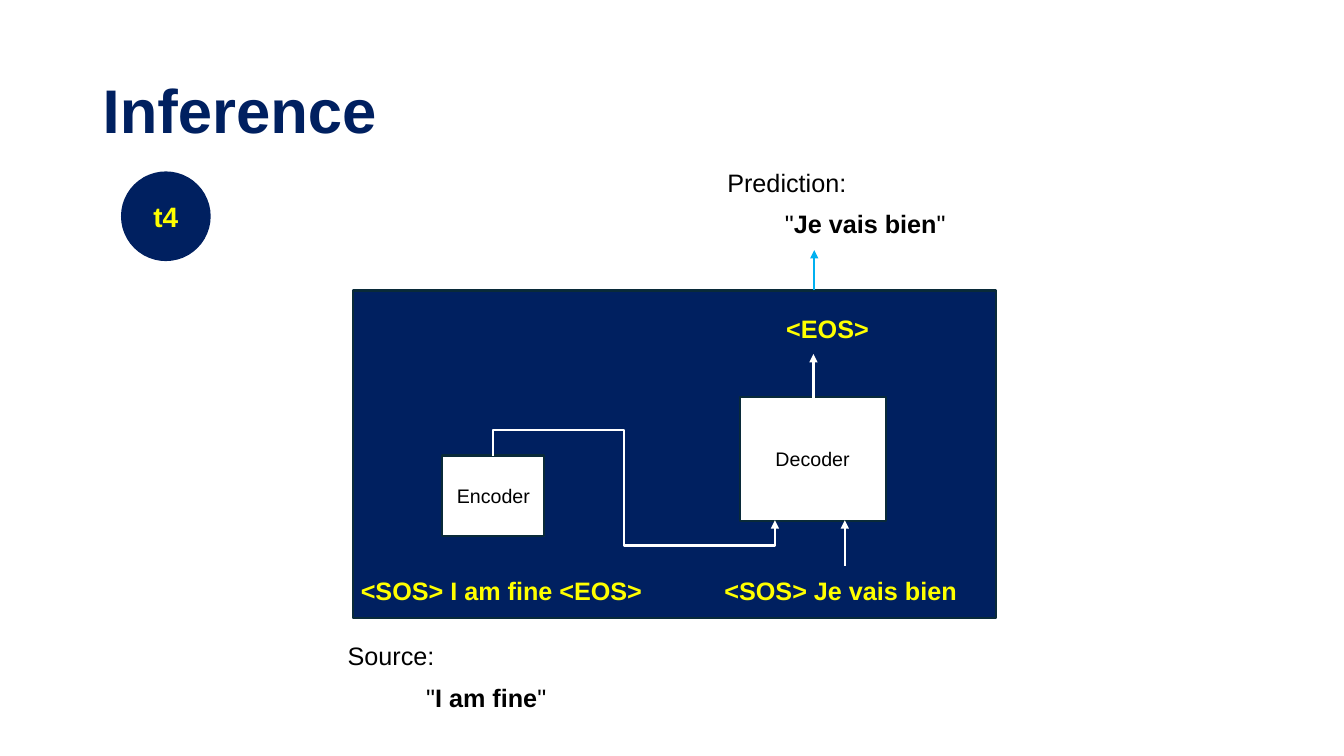
import pptx
import pptx.dml.color
import pptx.enum.shapes
import pptx.enum.text
import pptx.oxml
import pptx.oxml.ns
import pptx.util
from pptx.util import Cm

COLORS = {"navy": "002060", "edge": "092A39", "yellow": "FFFF00",
          "white": "FFFFFF", "black": "000000", "sky": "00B0F0"}
SHAPES = pptx.enum.shapes.MSO_SHAPE
LINES = pptx.enum.shapes.MSO_CONNECTOR
ALIGN = pptx.enum.text.PP_ALIGN
MIDDLE = pptx.enum.text.MSO_ANCHOR.MIDDLE

presentation = pptx.Presentation()
presentation.slide_width = Cm(33.87)
presentation.slide_height = Cm(19.05)
slide = presentation.slides.add_slide(presentation.slide_layouts[6])


def rgb(name):
    return pptx.dml.color.RGBColor.from_string(COLORS[name])


def write(shape, pieces, size, color, align=ALIGN.LEFT):
    """Fill a shape with one paragraph of (text, bold) pieces."""
    shape.text_frame.word_wrap = True
    paragraph = shape.text_frame.paragraphs[0]
    paragraph.alignment = align
    for text, bold in pieces:
        run = paragraph.add_run()
        run.text = text
        run.font.name = "Arial"
        run.font.size = pptx.util.Pt(size)
        run.font.bold = bold
        run.font.color.rgb = rgb(color)
    return paragraph


# Title
title = slide.shapes.add_textbox(Cm(2.34), Cm(1.02), Cm(29.21), Cm(3.68))
title.text_frame.vertical_anchor = MIDDLE
write(title, [("Inference", True)], 44, "navy").line_spacing = 0.9

# Time step, model panel and its two blocks
blocks = [
    (SHAPES.OVAL, 3.05, 4.32, 2.26, 2.26, "navy", None, "t4", 20, "yellow", True),
    (SHAPES.ROUNDED_RECTANGLE, 8.89, 7.32, 16.21, 8.26, "navy", "edge", "", 14, "white", False),
    (SHAPES.RECTANGLE, 11.15, 11.48, 2.57, 2.03, "white", "edge", "Encoder", 14, "black", False),
    (SHAPES.RECTANGLE, 18.64, 10.01, 3.68, 3.12, "white", "edge", "Decoder", 14, "black", False),
]
for kind, left, top, width, height, fill, edge, label, size, color, bold in blocks:
    block = slide.shapes.add_shape(kind, Cm(left), Cm(top), Cm(width), Cm(height))
    block.shadow.inherit = False
    block.fill.solid()
    block.fill.fore_color.rgb = rgb(fill)
    if edge:
        block.line.color.rgb = rgb(edge)
        block.line.width = pptx.util.Pt(1.5)
    else:
        block.line.fill.background()
    if kind == SHAPES.ROUNDED_RECTANGLE:
        block.adjustments[0] = 0
    if label:
        block.text_frame.vertical_anchor = MIDDLE
        write(block, [(label, bold)], size, color, ALIGN.CENTER)

# Tokens inside the panel
tokens = [("<SOS> I am fine <EOS>", 8.59, 14.38, 8.1),
          ("<SOS> Je vais bien ", 17.96, 14.38, 6.63),
          ("<EOS>", 19.38, 7.77, 2.95)]
for token, left, top, width in tokens:
    token_box = slide.shapes.add_textbox(Cm(left), Cm(top), Cm(width), Cm(1.02))
    write(token_box, [(token, True)], 18, "yellow", ALIGN.CENTER)

# Source and prediction sentences
sentences = [([("Source:", False)], 8.51, 16, 3.91),
             ([('"', False), ("I am fine", True), ('"', False)], 10.49, 17.07, 3.68),
             ([("Prediction:", False)], 18.08, 4.09, 3.91),
             ([('"', False), ("Je vais bien", True), ('"', False)], 19.53, 5.13, 4.9)]
for pieces, left, top, width in sentences:
    sentence_box = slide.shapes.add_textbox(Cm(left), Cm(top), Cm(width), Cm(1.02))
    write(sentence_box, pieces, 18, "black")

# Arrows: decoder input, decoder output, prediction, encoder state
flows = [(LINES.STRAIGHT, 21.29, 14.25, 21.29, 13.11, "white"),
         (LINES.STRAIGHT, 20.5, 10.06, 20.5, 8.92, "white"),
         (LINES.STRAIGHT, 20.52, 7.32, 20.52, 6.3, "sky"),
         (LINES.ELBOW, 15.16, 8.74, 16.79, 15.85, "white")]
for kind, x1, y1, x2, y2, color in flows:
    flow = slide.shapes.add_connector(kind, Cm(x1), Cm(y1), Cm(x2), Cm(y2))
    flow.line.color.rgb = rgb(color)
    flow.line.width = pptx.util.Pt(1.5)
    head = pptx.oxml.parse_xml(
        f'<a:tailEnd {pptx.oxml.ns.nsdecls("a")} type="triangle"/>')
    flow.line._get_or_add_ln().append(head)
    properties = flow._element.spPr
    properties.append(pptx.oxml.parse_xml(
        f'<a:effectLst {pptx.oxml.ns.nsdecls("a")}/>'))

    # The encoder state leaves upwards and enters the decoder from below
    if kind == LINES.ELBOW:
        frame = properties.find(pptx.oxml.ns.qn("a:xfrm"))
        frame.set("rot", "16200000")
        frame.set("flipH", "1")
        geometry = properties.find(pptx.oxml.ns.qn("a:prstGeom"))
        geometry.set("prst", "bentConnector5")
        guides = geometry.find(pptx.oxml.ns.qn("a:avLst"))
        for number, value in enumerate((-39100, 46500, 139100), start=1):
            guides.append(pptx.oxml.parse_xml(
                f'<a:gd {pptx.oxml.ns.nsdecls("a")} name="adj{number}" fmla="val {value}"/>'))

presentation.save("out.pptx")
